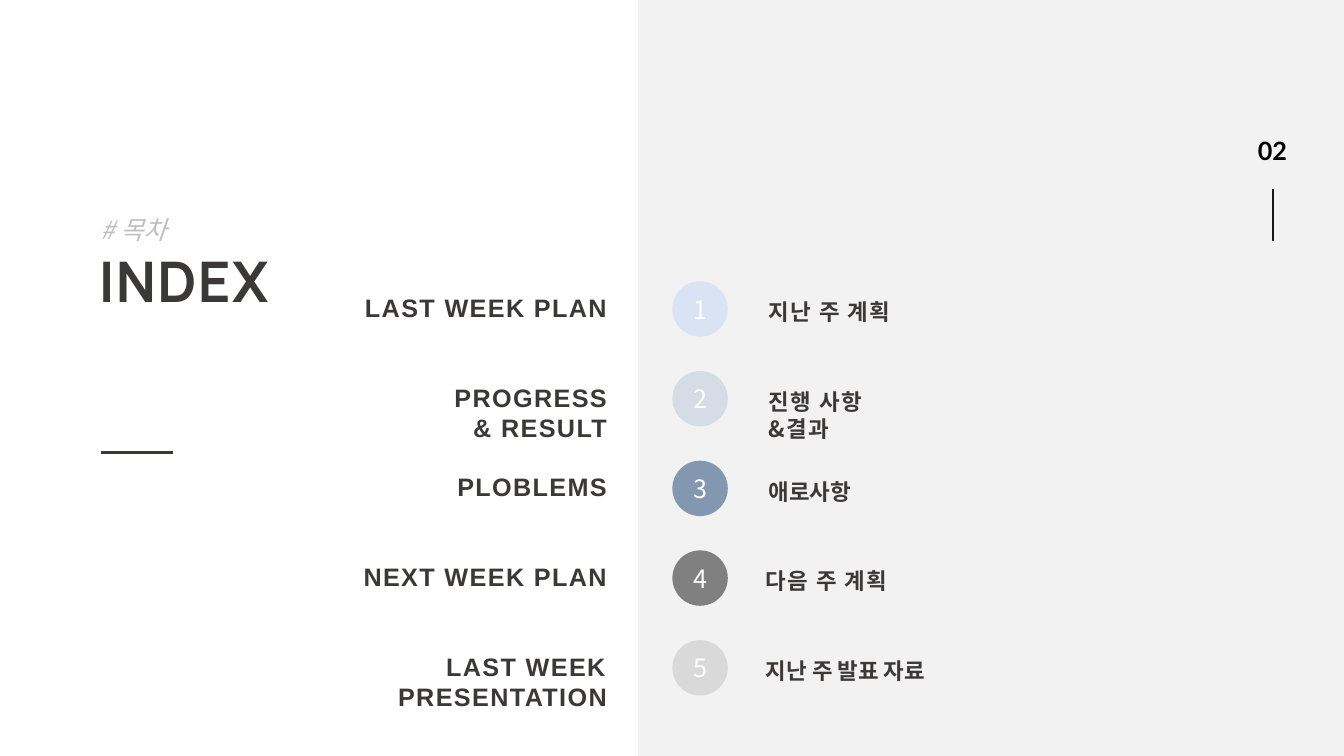
from dataclasses import dataclass

from lxml import etree
from pptx import Presentation
from pptx import util as u
from pptx.dml.color import RGBColor
from pptx.enum import shapes, text
from pptx.oxml.ns import qn
from pptx.shapes.autoshape import Shape
from pptx.slide import Slide
from pptx.text.text import TextFrame

ALIGN = text.PP_ALIGN


@dataclass(frozen=True)
class Theme:
    ink: str = "3B3838"
    mute: str = "BFBFBF"
    pane: str = "F2F2F2"
    rule: str = "181717"
    black: str = "000000"
    white: str = "FFFFFF"
    head: float = 40
    base: float = 18
    small: float = 16
    latin: str = "Arial"
    hangul: str = "Noto Sans CJK KR"
    title: str = "Manrope"
    page: str = "Lato"


@dataclass(frozen=True)
class Grid:
    cell: float = 0.1
    cols: float = 133.33
    rows: float = 75
    split: float = 63.3
    first: float = 27.9
    step: float = 8.9
    dot: float = 5.5

    def span(self, count: float) -> int:
        return u.Inches(count * self.cell)


@dataclass(frozen=True)
class Box:
    col: float
    row: float
    wide: float
    high: float


@dataclass(frozen=True)
class Style:
    font: str
    size: float
    color: str
    bold: bool = False
    slant: bool = False
    track: int = 0


@dataclass(frozen=True)
class Topic:
    label: tuple[str, ...]
    local: tuple[str, ...]
    fill: str
    track: int = 100
    shift: float = 0


THEME = Theme()
GRID = Grid()

TOPICS = (
    Topic(("LAST WEEK PLAN",), ("지난 주 계획",), "DAE3F3"),
    Topic(("PROGRESS", "& RESULT"), ("진행 사항", "&결과"), "D6DCE5"),
    Topic(("PLOBLEMS",), ("애로사항",), "8497B0", track=0),
    Topic(("NEXT WEEK PLAN",), ("다음 주 계획",), "808080", shift=0.3),
    Topic(("LAST WEEK PRESENTATION",), ("지난 주 발표 자료",), "D9D9D9", track=0, shift=0.3),
)


def place(shape: Shape, box: Box) -> None:
    shape.left, shape.top = GRID.span(box.col), GRID.span(box.row)
    shape.width, shape.height = GRID.span(box.wide), GRID.span(box.high)


def write(frame: TextFrame, lines: tuple[str, ...], style: Style,
          align: ALIGN = ALIGN.LEFT) -> None:
    for index, line in enumerate(lines):
        para = frame.paragraphs[0] if index == 0 else frame.add_paragraph()
        para.alignment = align
        run = para.add_run()
        run.text = line
        font = run.font
        font.name, font.size = style.font, u.Pt(style.size)
        font.bold, font.italic = style.bold, style.slant
        font.color.rgb = RGBColor.from_string(style.color)
        props = run._r.get_or_add_rPr()
        props.set("spc", str(style.track))
        etree.SubElement(props, qn("a:ea")).set("typeface", style.font)


def add_text(slide: Slide, box: Box, lines: tuple[str, ...], style: Style,
             align: ALIGN = ALIGN.LEFT, wrap: bool = True) -> TextFrame:
    shape = slide.shapes.add_textbox(0, 0, 0, 0)
    place(shape, box)
    frame = shape.text_frame
    frame.word_wrap = wrap
    write(frame, lines, style, align)
    return frame


def add_form(slide: Slide, kind: shapes.MSO_SHAPE, box: Box, fill: str) -> Shape:
    shape = slide.shapes.add_shape(kind, 0, 0, 0, 0)
    place(shape, box)
    shape.shadow.inherit = False
    shape.fill.solid()
    shape.fill.fore_color.rgb = RGBColor.from_string(fill)
    shape.line.fill.background()
    return shape


def add_rule(slide: Slide, box: Box, color: str, weight: float) -> None:
    line = slide.shapes.add_connector(
        shapes.MSO_CONNECTOR.STRAIGHT, GRID.span(box.col), GRID.span(box.row),
        GRID.span(box.col + box.wide), GRID.span(box.row + box.high))
    line.line.color.rgb = RGBColor.from_string(color)
    line.line.width = u.Pt(weight)
    etree.SubElement(line._element.spPr, qn("a:effectLst"))


def add_title(slide: Slide) -> None:
    title = slide.shapes.title
    place(title, Box(8.8, 24.7, 35.5, 14.8))
    frame = title.text_frame
    frame.auto_size = text.MSO_AUTO_SIZE.NONE
    frame.vertical_anchor = text.MSO_ANCHOR.TOP
    write(frame, ("INDEX",), Style(THEME.title, THEME.head, THEME.ink, bold=True, track=100))
    frame.paragraphs[0].line_spacing = 0.9


def add_topic(slide: Slide, index: int, topic: Topic) -> None:
    row = GRID.first + index * GRID.step
    dot = add_form(slide, shapes.MSO_SHAPE.OVAL,
                   Box(66.7, row, GRID.dot, GRID.dot), topic.fill)
    frame = dot.text_frame
    frame.margin_left = frame.margin_right = 0
    frame.vertical_anchor = text.MSO_ANCHOR.MIDDLE
    write(frame, (str(index + 1),), Style(THEME.hangul, THEME.base, THEME.white), ALIGN.CENTER)

    extra = len(topic.label) - 1
    add_text(slide, Box(28.1 - topic.shift, row + 0.6, 33.1 + topic.shift, 4 + 3.1 * extra),
             topic.label, Style(THEME.latin, THEME.base, THEME.ink, bold=True, track=100),
             ALIGN.RIGHT)
    add_text(slide, Box(75.3 - topic.shift, row + 1.2, 26.7 + topic.shift, 3.7 + 2.7 * extra),
             topic.local,
             Style(THEME.hangul, THEME.small, THEME.ink, bold=True, track=topic.track))


def main() -> None:
    deck = Presentation()
    deck.slide_width, deck.slide_height = GRID.span(GRID.cols), GRID.span(GRID.rows)
    slide = deck.slides.add_slide(deck.slide_layouts.get_by_name("Title Only"))

    add_form(slide, shapes.MSO_SHAPE.RECTANGLE,
             Box(GRID.split, 0, GRID.cols - GRID.split, GRID.rows), THEME.pane)
    add_text(slide, Box(123.8, 12.9, 6.4, 4), ("02",),
             Style(THEME.page, THEME.base, THEME.black, bold=True), wrap=False)
    add_rule(slide, Box(126.3, 18.8, 0, 5.1), THEME.rule, 1.5)

    add_title(slide)
    add_rule(slide, Box(10, 44.9, 7.2, 0), THEME.ink, 2.75)
    tag = add_text(slide, Box(9, 21.3, 43.3, 4.1), ("# 목차",),
                   Style(THEME.hangul, THEME.base, THEME.mute, slant=True))
    tag.paragraphs[0].line_spacing = u.Pt(18)
    tag.paragraphs[0].space_before = u.Pt(12)

    for index, topic in enumerate(TOPICS):
        add_topic(slide, index, topic)

    deck.save("out.pptx")


if __name__ == "__main__":
    main()
